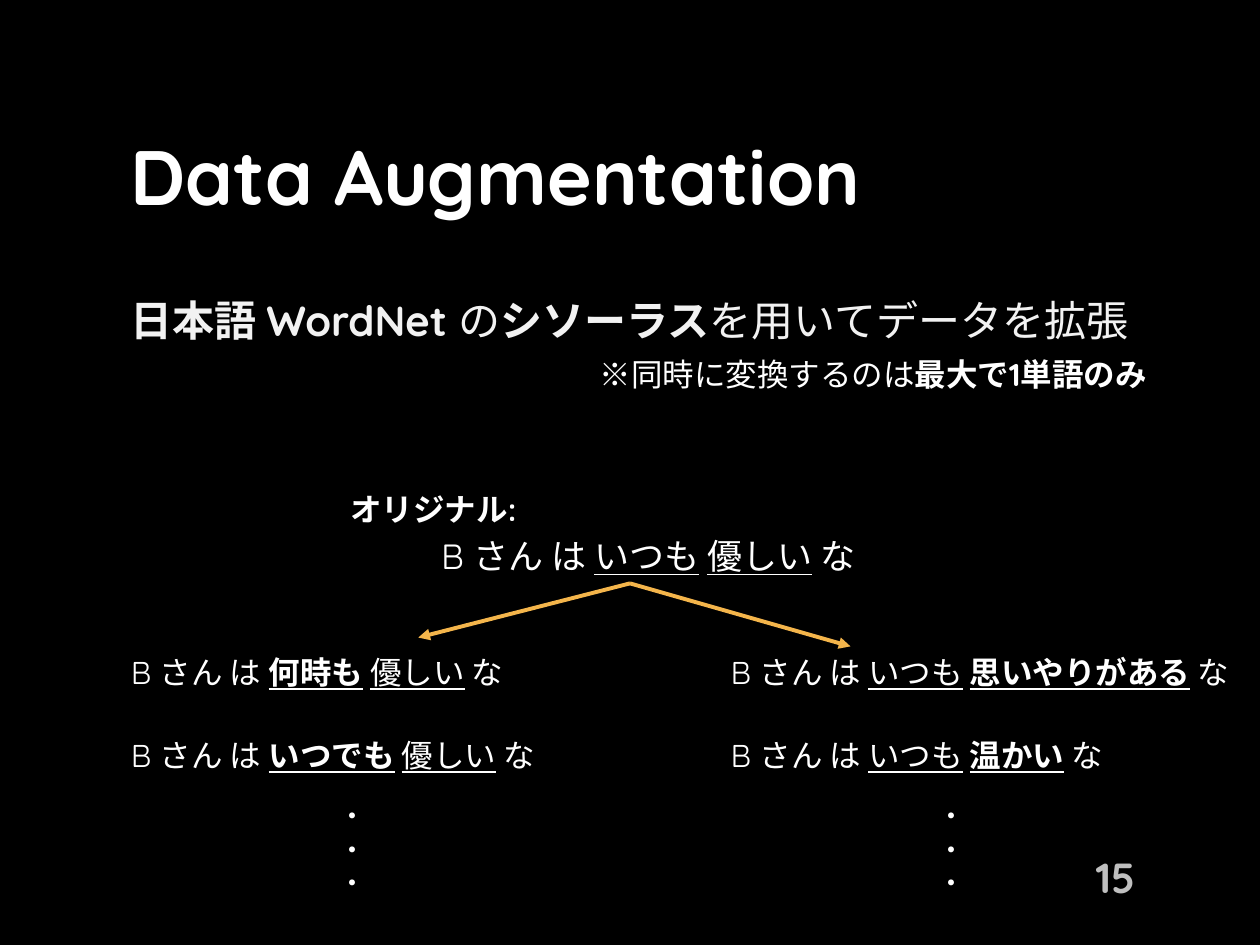
from lxml import etree
from pptx import Presentation
from pptx.dml.color import RGBColor
from pptx.enum.lang import MSO_LANGUAGE_ID
from pptx.enum.shapes import MSO_CONNECTOR
from pptx.enum.text import MSO_ANCHOR, PP_ALIGN
from pptx.oxml.ns import qn
from pptx.util import Inches, Pt

LEFT, CENTER, RIGHT = PP_ALIGN.LEFT, PP_ALIGN.CENTER, PP_ALIGN.RIGHT
TOP, MIDDLE = MSO_ANCHOR.TOP, MSO_ANCHOR.MIDDLE
STRAIGHT = MSO_CONNECTOR.STRAIGHT
JAPANESE = MSO_LANGUAGE_ID.JAPANESE

FONT = "Quicksand"
WHITE, PALE, GREY, AMBER = "FFFFFF", "F2F2F2", "BFBFBF", "F4B54B"
SUBJECT = ("B さん は ", "")


def rgb(value):
    return RGBColor.from_string(value)


def add_text(s, box, *lines, size=18, color=WHITE, align=LEFT, anchor=TOP):
    """Each line is a list of (text, style); style holds b (bold), u (underline)."""
    tf = s.shapes.add_textbox(*map(Inches, box)).text_frame
    tf.word_wrap = True
    tf.vertical_anchor = anchor
    for i, line in enumerate(lines):
        p = tf.add_paragraph() if i else tf.paragraphs[0]
        p.alignment = align
        for text, style in line:
            r = p.add_run()
            r.text = text
            r.font.name = FONT
            r.font.size = Pt(size)
            r.font.color.rgb = rgb(color)
            r.font.bold = "b" in style
            r.font.underline = "u" in style
            r.font.language_id = JAPANESE


def add_arrow(s, start, end):
    c = s.shapes.add_connector(STRAIGHT, *map(Inches, start + end))
    c.line.color.rgb = rgb(AMBER)
    c.line.width = Pt(2.25)
    etree.SubElement(c.line._get_or_add_ln(), qn("a:tailEnd"), type="triangle")
    etree.SubElement(c._element.spPr, qn("a:effectLst"))


def add_heading(s, x, y, w):
    add_text(s, (x, y, w, 0.9), [("Data Augmentation", "b")], size=44, anchor=MIDDLE)


def add_summary(s, x, y, w):
    add_text(s, (x, y, w, 0.5),
             [("日本語 WordNet ", "b"), ("の", ""), ("シソーラス", "b"),
              ("を用いてデータを拡張", "")],
             size=24, color=PALE, anchor=MIDDLE)
    note_w = 4.74
    add_text(s, (x + w - note_w, y + 0.48, note_w, 0.4),
             [("※同時に変換するのは", ""), ("最大で1単語のみ", "b")], align=CENTER)


def add_original(s, x, y):
    add_text(s, (x, y, 4.3, 0.4), [("オリジナル:", "b")], align=CENTER)
    add_text(s, (x + 2, y + 0.35, 3.71, 0.44),
             [SUBJECT, ("いつも", "u"), (" ", ""), ("優しい", "u"), (" な", "")],
             size=20, align=CENTER)


def add_variants(s, x, y, w, pairs):
    """Sentences with one word replaced, followed by vertical dots."""
    for i, (adverb, adjective) in enumerate(pairs):
        add_text(s, (x, y + i * 0.66, w, 0.4),
                 [SUBJECT, adverb, (" ", ""), adjective, (" な", "")])
    add_text(s, (x, y + 1.16, 3.71, 1.17), *[[("・", "")]] * 3, size=16, align=CENTER)


def add_page_number(s, x, y):
    add_text(s, (x, y, 1.3, 0.4), [("15", "b")],
             size=24, color=GREY, align=RIGHT, anchor=MIDDLE)


def main():
    prs = Presentation()
    prs.slide_width, prs.slide_height = Inches(10), Inches(7.5)
    s = prs.slides.add_slide(prs.slide_layouts[6])
    s.background.fill.solid()
    s.background.fill.fore_color.rgb = rgb("000000")

    # Title and method
    add_heading(s, 0.94, 0.94, 8.12)
    add_summary(s, 0.94, 2.29, 8.36)

    # Original sentence, branching into two columns
    add_original(s, 1.29, 3.84)
    for tip in ((3.32, 5.06), (6.75, 5.13)):
        add_arrow(s, (5, 4.63), tip)
    add_variants(s, 0.94, 5.13, 4.07,
                 [((adverb, "bu"), ("優しい", "u")) for adverb in ("何時も", "いつでも")])
    add_variants(s, 5.7, 5.13, 4.74,
                 [(("いつも", "u"), (adjective, "bu"))
                  for adjective in ("思いやりがある", "温かい")])

    # Footer
    add_page_number(s, 7.81, 6.76)
    prs.save("out.pptx")


if __name__ == "__main__":
    main()
